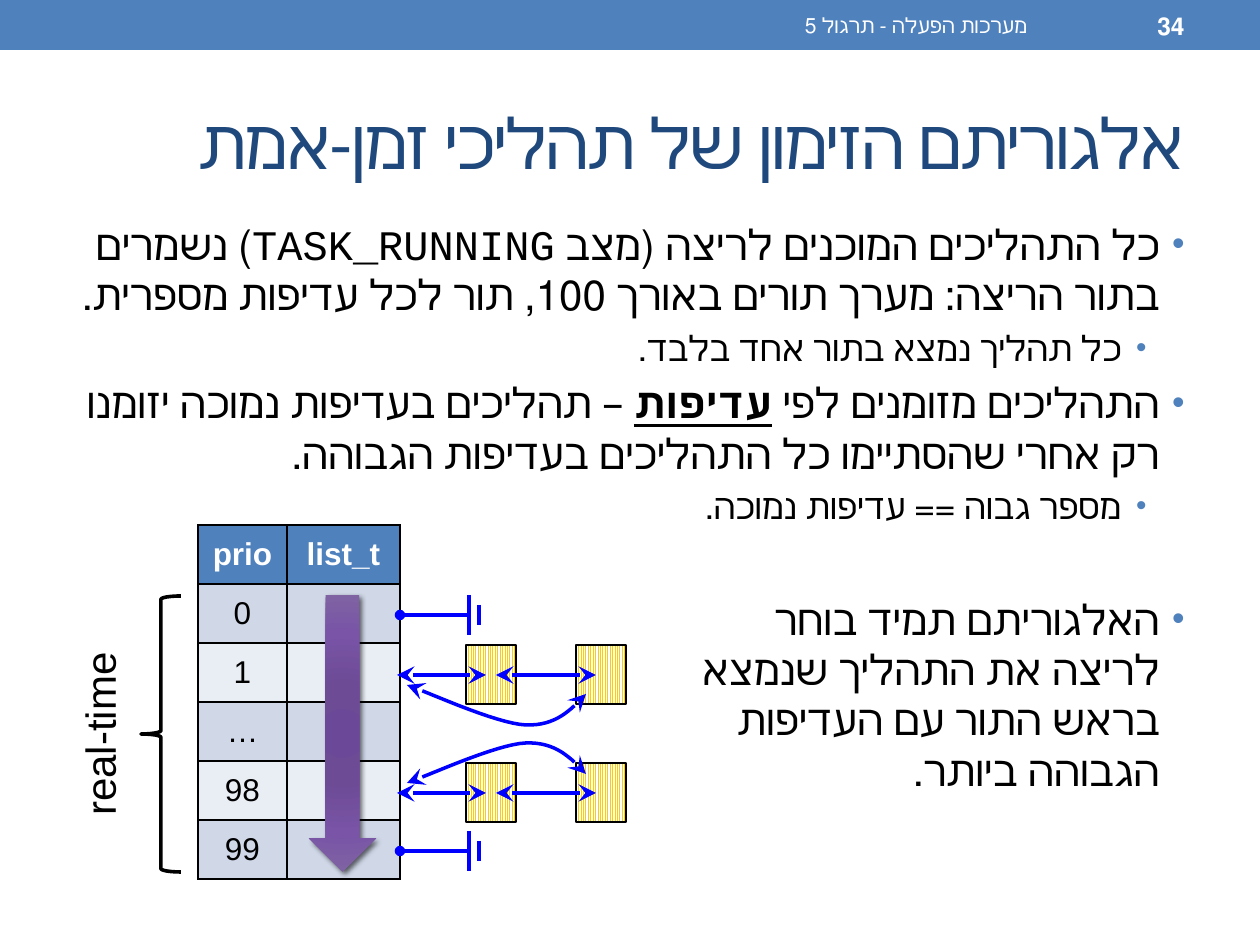
from lxml import etree
from pptx import Presentation
from pptx.dml.color import RGBColor
from pptx.enum.dml import MSO_PATTERN
from pptx.enum.shapes import MSO_CONNECTOR, MSO_SHAPE
from pptx.enum.text import MSO_ANCHOR, PP_ALIGN
from pptx.oxml import parse_xml
from pptx.oxml.ns import qn
from pptx.util import Emu, Pt

RECT, BRACE, DOWN = MSO_SHAPE.RECTANGLE, MSO_SHAPE.LEFT_BRACE, MSO_SHAPE.DOWN_ARROW
STRAIGHT = MSO_CONNECTOR.STRAIGHT
TOP, MIDDLE = MSO_ANCHOR.TOP, MSO_ANCHOR.MIDDLE
RIGHT, CENTER = PP_ALIGN.RIGHT, PP_ALIGN.CENTER
STRIPES = MSO_PATTERN.LIGHT_VERTICAL
NS = 'xmlns:a="http://schemas.openxmlformats.org/drawingml/2006/main"'
SCALE = 914400 / 126
BLUE, INK = "4F81BD", "0000FF"

TITLE = "אלגוריתם הזימון של תהליכי זמן-אמת"
FOOTER = "מערכות הפעלה - תרגול 5"
NUMBER = "34"
BODY = [
    (0, 0, ["כל התהליכים המוכנים לריצה (מצב TASK_RUNNING) נשמרים בתור הריצה: "
            "מערך תורים באורך 100, תור לכל עדיפות מספרית."]),
    (1, 4, ["כל תהליך נמצא בתור אחד בלבד."]),
    (0, 5, ["התהליכים מזומנים לפי ", "עדיפות",
            " – תהליכים בעדיפות נמוכה יזומנו רק אחרי שהסתיימו כל התהליכים בעדיפות הגבוהה."]),
    (1, 4, ["מספר גבוה == עדיפות נמוכה."]),
    (0, 38, ["האלגוריתם תמיד בוחר\vלריצה את התהליך שנמצא\vבראש התור עם העדיפות\vהגבוהה ביותר."]),
]
LEVELS = [(24, 25), (20, 63)]
ROWS = [("prio", "list_t"), ("0", ""), ("1", ""), ("…", ""), ("98", ""), ("99", "")]
COLS = [89, 113]
LEFT, HEAD, STEP = 198, 525, 59
EMPTY, QUEUES = [1, 5], [(2, 1), (4, -1)]
STOPS = [(0, "6C4898"), (34, "6D4B95"), (70, "7954A7"), (100, "8064A2")]
CURVE = [(586, 19), (571, 35), (556, 51), (526, 50), (496, 49), (423, 15), (407, 10)]


def px(n):
    return Emu(round(n * SCALE))


def color(text):
    return RGBColor.from_string(text)


def style(run, size, tint, latin="Courier New", bold=False):
    font = run.font
    font.size, font.name, font.bold = Pt(size), latin, bold
    font.color.rgb = color(tint)


def label(place, text, size, tint, anchor=MIDDLE, bold=False):
    box = slide.shapes.add_textbox(*map(px, place))
    frame = box.text_frame
    frame.word_wrap, frame.vertical_anchor = True, anchor
    frame.text = text
    para = frame.paragraphs[0]
    para.alignment = RIGHT
    para._p.get_or_add_pPr().set("rtl", "1")
    for run in para.runs:
        style(run, size, tint, bold=bold)
    return frame


def shape(kind, place):
    item = slide.shapes.add_shape(kind, *map(px, place))
    item.shadow.inherit = False
    return item


def ends(item, head, tail):
    ln = item.line._get_or_add_ln()
    for tag, kind in (("headEnd", head), ("tailEnd", tail)):
        if kind:
            size = "lg" if kind == "stealth" else "med"
            etree.SubElement(ln, qn("a:" + tag), type=kind, w=size, len=size)


def ink(item, head=None, tail=None):
    item.line.color.rgb = color(INK)
    item.line.width = Pt(2)
    ends(item, head, tail)


def line(x1, y1, x2, y2, head=None, tail=None):
    item = slide.shapes.add_connector(STRAIGHT, px(x1), px(y1), px(x2), px(y2))
    etree.SubElement(item._element.spPr, qn("a:effectLst"))
    ink(item, head, tail)


def bend(a, b, c, d, steps=16):
    for i in range(1, steps + 1):
        t = i / steps
        u = 1 - t
        yield tuple(u**3 * p + 3 * u * u * t * q + 3 * u * t * t * r + t**3 * s
                    for p, q, r, s in zip(a, b, c, d))


def curve(mid, side):
    pts = [(x, mid + side * dy) for x, dy in CURVE]
    path = [*bend(*pts[:4]), *bend(*pts[3:])]
    form = slide.shapes.build_freeform(*map(px, pts[0]))
    form.add_line_segments([(px(x), px(y)) for x, y in path], close=False)
    item = form.convert_to_shape()
    item.shadow.inherit = False
    item.fill.background()
    ink(item, "stealth", "stealth")


deck = Presentation()
deck.slide_width, deck.slide_height = px(1260), px(945)
slide = deck.slides.add_slide(deck.slide_layouts[6])

bar = shape(RECT, (0, 0, 1260, 50))
bar.fill.solid()
bar.fill.fore_color.rgb = color(BLUE)
bar.line.fill.background()

title = label((63, 73, 1134, 136), TITLE, 40, "1F497D")
title.paragraphs[0].runs[0]._r.rPr.set("spc", "-100")

body = label((63, 212, 1134, 672), "", 24, "000000", TOP)
for i, (level, gap, parts) in enumerate(BODY):
    para = body.add_paragraph() if i else body.paragraphs[0]
    size, margin = LEVELS[level]
    para.text = parts[0]
    for part in parts[1:]:
        para.add_run().text = part
    para.alignment, para.level = RIGHT, level
    if gap:
        para.space_before = Pt(gap)
    prop = para._p.get_or_add_pPr()
    for key, value in (("rtl", 1), ("marL", px(margin)), ("indent", px(-25))):
        prop.set(key, str(int(value)))
    tint = etree.SubElement(prop, qn("a:buClr"))
    etree.SubElement(tint, qn("a:srgbClr"), val=BLUE)
    etree.SubElement(prop, qn("a:buSzPct"), val="85000")
    etree.SubElement(prop, qn("a:buFont"), typeface="Arial")
    etree.SubElement(prop, qn("a:buChar"), char="•")
    for j, run in enumerate(para.runs):
        strong = len(parts) > 1 and j == 1
        style(run, size, "000000", bold=strong)
        run.font.underline = strong

label((473, 3, 567, 45), FOOTER, 12, "FFFFFF")
label((1050, 3, 147, 45), NUMBER, 14, "FFFFFF", bold=True)

place = (LEFT, HEAD, sum(COLS), STEP * len(ROWS))
grid = slide.shapes.add_table(len(ROWS), len(COLS), *map(px, place)).table
for col, width in zip(grid.columns, COLS):
    col.width = px(width)
for r, row in enumerate(ROWS):
    grid.rows[r].height = px(STEP)
    for c, text in enumerate(row):
        cell = grid.cell(r, c)
        cell.text, cell.vertical_anchor = text, MIDDLE
        para = cell.text_frame.paragraphs[0]
        para.alignment = CENTER
        for run in para.runs:
            style(run, 18, "000000" if r else "FFFFFF", "Arial", r == 0)
        prop = cell._tc.get_or_add_tcPr()
        for side in ("lnL", "lnR", "lnT", "lnB"):
            prop.append(parse_xml(f'<a:{side} {NS} w="12700"><a:solidFill>'
                                  f'<a:srgbClr val="000000"/></a:solidFill></a:{side}>'))
        cell.fill.solid()
        cell.fill.fore_color.rgb = color(("E9EDF4", "D0D8E8")[r % 2] if r else BLUE)

brace = shape(BRACE, (141, 596, 40, 276))
brace.fill.background()
brace.line.color.rgb = color("000000")
brace.line.width = Pt(2.08)

side = slide.shapes.add_textbox(*map(px, (69, 596, 60, 276))).text_frame
side.text, side.word_wrap, side.vertical_anchor = "real-time", True, MIDDLE
side._txBody.bodyPr.set("vert", "vert270")
side.paragraphs[0].alignment = CENTER
style(side.paragraphs[0].runs[0], 24, "000000", "Arial")

edge = LEFT + sum(COLS)
for row in EMPTY:
    mid = HEAD + STEP * row + 31
    line(edge, mid, 469, mid, head="oval")
    for x, half in ((469, 20), (479, 10)):
        line(x, mid - half, x, mid + half)

for row, way in QUEUES:
    mid = HEAD + STEP * row + 32
    for x in (466, 576):
        node = shape(RECT, (x, mid - 30, 50, 59))
        node.fill.patterned()
        node.fill.pattern = STRIPES
        node.fill.fore_color.rgb = color("FFCC00")
        node.fill.back_color.rgb = color("FFFFFF")
        node.line.color.rgb = color("000000")
        node.line.width = Pt(0.75)
    for start, stop in ((496, 596), (397, 486)):
        line(start, mid, stop, mid, "stealth", "stealth")
    curve(mid, way)

arrow = shape(DOWN, (309, 595, 67, 277))
arrow.line.fill.background()
stops = "".join(f'<a:gs pos="{at * 1000}"><a:srgbClr val="{tint}"/></a:gs>' for at, tint in STOPS)
fill = parse_xml(f'<a:gradFill {NS}><a:gsLst>{stops}</a:gsLst><a:path path="circle">'
                 '<a:fillToRect l="100000" t="100000" r="100000" b="100000"/></a:path></a:gradFill>')
prop = arrow._element.spPr
prop.find(qn("a:prstGeom")).addnext(fill)
prop.find(qn("a:effectLst")).append(parse_xml(
    f'<a:outerShdw {NS} blurRad="38100" dist="25400" dir="2700000">'
    '<a:srgbClr val="000000"><a:alpha val="60000"/></a:srgbClr></a:outerShdw>'))

deck.save("out.pptx")
